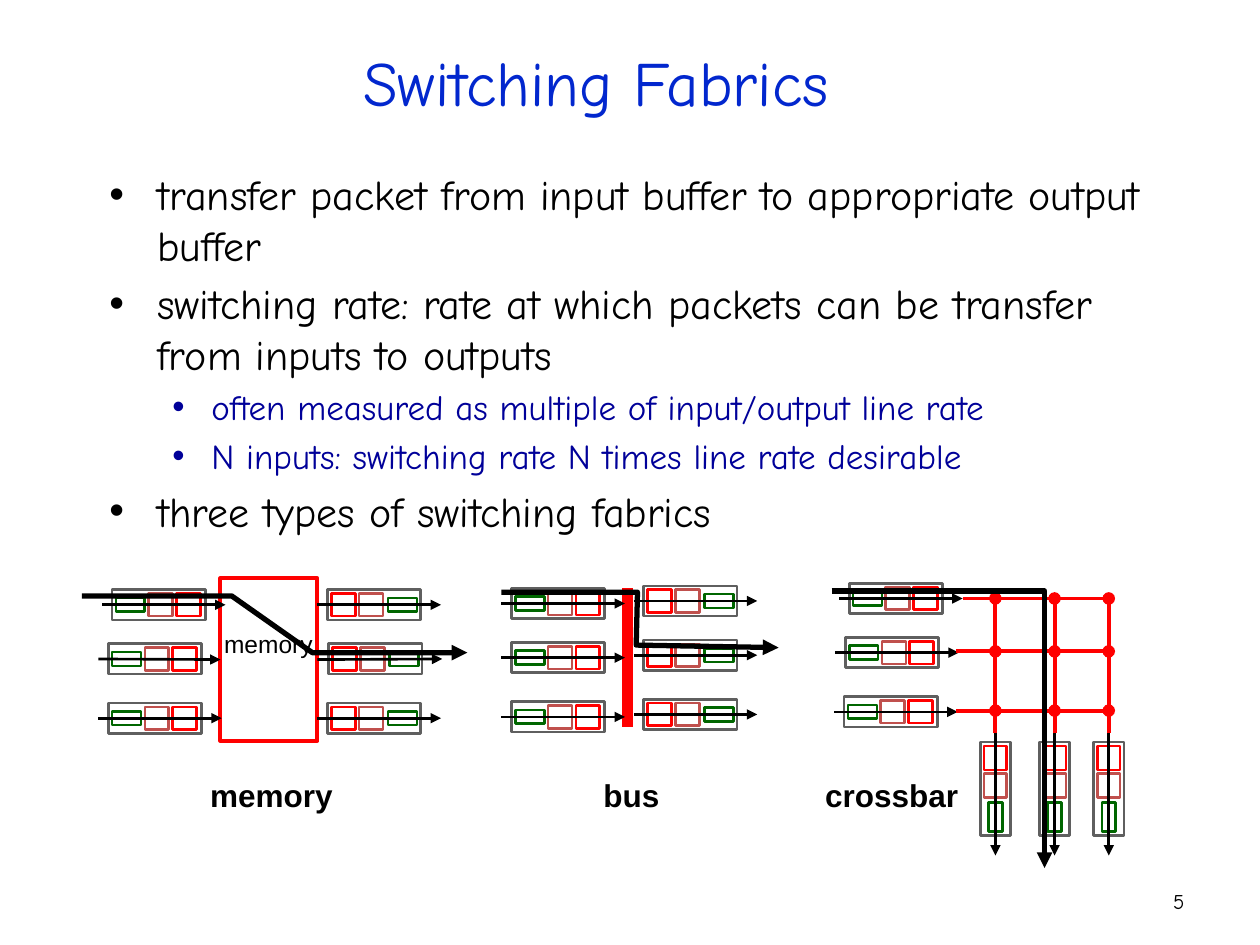
from lxml import etree
from pptx import Presentation
from pptx import util as u
from pptx.dml.color import RGBColor
from pptx.enum import shapes, text
from pptx.oxml import ns


class Theme:
    font, label_font = "Comic Neue", "Arial"
    title_size, body_size, detail_size = 36, 24, 20
    label_size, memory_size, number_size = 18, 14, 12
    title, detail, black, white = "0227CE", "000099", "000000", "FFFFFF"
    frame, green, brown, red = "5F5F5F", "006600", "C0504D", "FF0000"
    thin, medium, route, bus = 1.5, 2.25, 3, 6


TITLE = "Switching Fabrics"
BULLETS = [
    (0, "transfer packet from input buffer to appropriate output buffer"),
    (0, "switching rate: rate at which packets can be transfer from inputs to outputs"),
    (1, "often measured as multiple of input/output line rate"),
    (1, "N inputs: switching rate N times line rate desirable"),
    (0, "three types of switching fabrics"),
]
LEVELS = [(0.38, 0.38, Theme.body_size, Theme.black),
          (0.81, 0.31, Theme.detail_size, Theme.detail)]
LABELS = [("memory", 1.57, 1.18), ("bus", 4.69, 0.65), ("crossbar", 6.45, 1.27)]

FRAME = (0.74, 0.24)
GREEN_CELL = (0.23, 0.11, Theme.green)
BROWN_CELL = (0.19, 0.18, Theme.brown)
RED_CELL = (0.19, 0.18, Theme.red)
INPUT_CELLS = [(0.03, GREEN_CELL), (0.29, BROWN_CELL), (0.51, RED_CELL)]
OUTPUT_CELLS = [(0.48, GREEN_CELL), (0.25, BROWN_CELL), (0.03, RED_CELL)]
ARROW_START, ARROW_END = -0.08, 0.9
ROW_OFFSETS = (0, 0.43, 0.9)
BUFFER_COLUMNS = {
    "memory in": (INPUT_CELLS, (0.89, 0.86, 0.86), 4.68),
    "memory out": (OUTPUT_CELLS, (2.6, 2.61, 2.6), 4.68),
    "bus in": (INPUT_CELLS, (4.06, 4.06, 4.06), 4.67),
    "bus out": (OUTPUT_CELLS, (5.11, 5.11, 5.11), 4.65),
    "crossbar in": (INPUT_CELLS, (6.74, 6.71, 6.7), 4.63),
}
CROSSBAR_COLUMNS, CROSSBAR_ROWS = (7.9, 8.37, 8.8), (4.75, 5.17, 5.64)
CROSSBAR_BOTTOM, CROSSBAR_BUFFER_TOP, DOT = 5.82, 5.89, 0.1
ROUTES = [
    [(0.65, 4.73), (1.84, 4.73), (2.48, 5.18), (3.71, 5.18)],
    [(3.98, 4.7), (5.06, 4.7), (5.05, 5.12), (6.18, 5.14)],
    [(6.6, 4.69), (8.29, 4.69), (8.29, 6.89)],
]

presentation = Presentation()
presentation.slide_width, presentation.slide_height = u.Inches(10), u.Inches(7.5)
slide = presentation.slides.add_slide(presentation.slide_layouts[6])


def color(value):
    return RGBColor.from_string(value)


def set_line(shape, value, width, arrow=False):
    shape.line.color.rgb = color(value)
    shape.line.width = u.Pt(width)
    if arrow:
        etree.SubElement(shape.line._get_or_add_ln(), ns.qn("a:tailEnd"), type="triangle")


def add_box(left, top, width, height, fill=None, line=None, weight=Theme.thin,
            kind=shapes.MSO_SHAPE.RECTANGLE):
    shape = slide.shapes.add_shape(kind, *map(u.Inches, (left, top, width, height)))
    shape.shadow.inherit = False
    if fill:
        shape.fill.solid()
        shape.fill.fore_color.rgb = color(fill)
    else:
        shape.fill.background()
    if line:
        set_line(shape, line, weight)
    else:
        shape.line.fill.background()
    return shape


def add_line(start, end, value=Theme.black, width=Theme.thin, arrow=False):
    connector = slide.shapes.add_connector(
        shapes.MSO_CONNECTOR.STRAIGHT, *map(u.Inches, (*start, *end)))
    set_line(connector, value, width, arrow)
    etree.SubElement(connector._element.spPr, ns.qn("a:effectLst"))
    return connector


def add_buffer(cells, left, top, vertical=False):
    frame_width, frame_height = FRAME
    parts = [(0, (*FRAME, Theme.frame)), *cells]
    for offset, (width, height, line) in parts:
        along = offset + width / 2
        if vertical:
            center_x, center_y = left + frame_height / 2, top + along
        else:
            center_x, center_y = left + along, top + frame_height / 2
        shape = add_box(center_x - width / 2, center_y - height / 2, width, height,
                        Theme.white, line)
        shape.rotation = 90 if vertical else 0
    middle = frame_height / 2
    if vertical:
        ends = [(left + middle, top + step) for step in (ARROW_START, ARROW_END)]
    else:
        ends = [(left + step, top + middle) for step in (ARROW_START, ARROW_END)]
    return add_line(*ends, arrow=True)


def add_text(content, left, top, width, height, size, font=Theme.font, value=Theme.black,
             bold=False, wrap=True, align=None, anchor=text.MSO_ANCHOR.TOP):
    frame = slide.shapes.add_textbox(*map(u.Inches, (left, top, width, height))).text_frame
    frame.word_wrap = wrap
    if not wrap:
        frame.auto_size = text.MSO_AUTO_SIZE.SHAPE_TO_FIT_TEXT
    frame.vertical_anchor = anchor
    frame.text = content
    for paragraph in frame.paragraphs:
        paragraph.alignment = align
        format_runs(paragraph, size, font, value, bold)
    return frame


def format_runs(paragraph, size, font, value, bold=False):
    for run in paragraph.runs:
        run.font.size, run.font.name, run.font.bold = u.Pt(size), font, bold
        run.font.color.rgb = color(value)


def add_bullets():
    content = "\n".join(line for _, line in BULLETS)
    frame = add_text(content, 0.77, 1.29, 8.5, 5.08, Theme.body_size)
    for paragraph, (level, _) in zip(frame.paragraphs, BULLETS):
        margin, hanging, size, value = LEVELS[level]
        paragraph.level = level
        paragraph.space_before = u.Pt(size * 0.2)
        format_runs(paragraph, size, Theme.font, value)
        properties = paragraph._p.get_or_add_pPr()
        properties.set("marL", str(u.Inches(margin)))
        properties.set("indent", str(-u.Inches(hanging)))
        etree.SubElement(properties, ns.qn("a:buFont"), typeface=Theme.label_font)
        etree.SubElement(properties, ns.qn("a:buChar"), char="•")


def add_crossbar():
    for left, row in zip((7.64, 7.59, 7.59), CROSSBAR_ROWS):
        add_line((left, row), (CROSSBAR_COLUMNS[-1], row), Theme.red, Theme.medium)
    for column in CROSSBAR_COLUMNS:
        add_line((column, CROSSBAR_BOTTOM), (column, CROSSBAR_ROWS[0]),
                 Theme.red, Theme.medium)
        for row in CROSSBAR_ROWS:
            add_box(column - DOT / 2, row - DOT / 2, DOT, DOT, Theme.red,
                    kind=shapes.MSO_SHAPE.OVAL)


def add_route(points):
    corners = [tuple(map(u.Inches, point)) for point in points]
    builder = slide.shapes.build_freeform(*corners[0])
    builder.add_line_segments(corners[1:], close=False)
    route = builder.convert_to_shape()
    route.shadow.inherit = False
    route.fill.background()
    set_line(route, Theme.black, Theme.route, arrow=True)


memory = add_box(1.75, 4.59, 0.77, 1.29, line=Theme.red, weight=Theme.medium)
add_line((4.98, 4.67), (4.98, 5.77), Theme.red, Theme.bus)
arrows = {
    name: [add_buffer(cells, left, top + offset) for left, offset in zip(lefts, ROW_OFFSETS)]
    for name, (cells, lefts, top) in BUFFER_COLUMNS.items()
}
arrows["memory in"][1].end_connect(memory, 1)
arrows["memory out"][1].begin_connect(memory, 3)
for column in CROSSBAR_COLUMNS:
    add_buffer(OUTPUT_CELLS, column - FRAME[1] / 2, CROSSBAR_BUFFER_TOP, vertical=True)
add_crossbar()

add_text("memory", 1.68, 4.94, 0.92, 0.33, Theme.memory_size, Theme.label_font, wrap=False)
for label, left, width in LABELS:
    add_text(label, left, 6.11, width, 0.4, Theme.label_size, Theme.label_font,
             bold=True, wrap=False)
for points in ROUTES:
    add_route(points)

add_text(TITLE, 0.48, 0.27, 8.5, 0.75, Theme.title_size, value=Theme.title,
         align=text.PP_ALIGN.CENTER, anchor=text.MSO_ANCHOR.MIDDLE)
add_bullets()
add_text("5", 7.17, 6.95, 2.33, 0.4, Theme.number_size,
         align=text.PP_ALIGN.RIGHT, anchor=text.MSO_ANCHOR.MIDDLE)

presentation.save("out.pptx")
